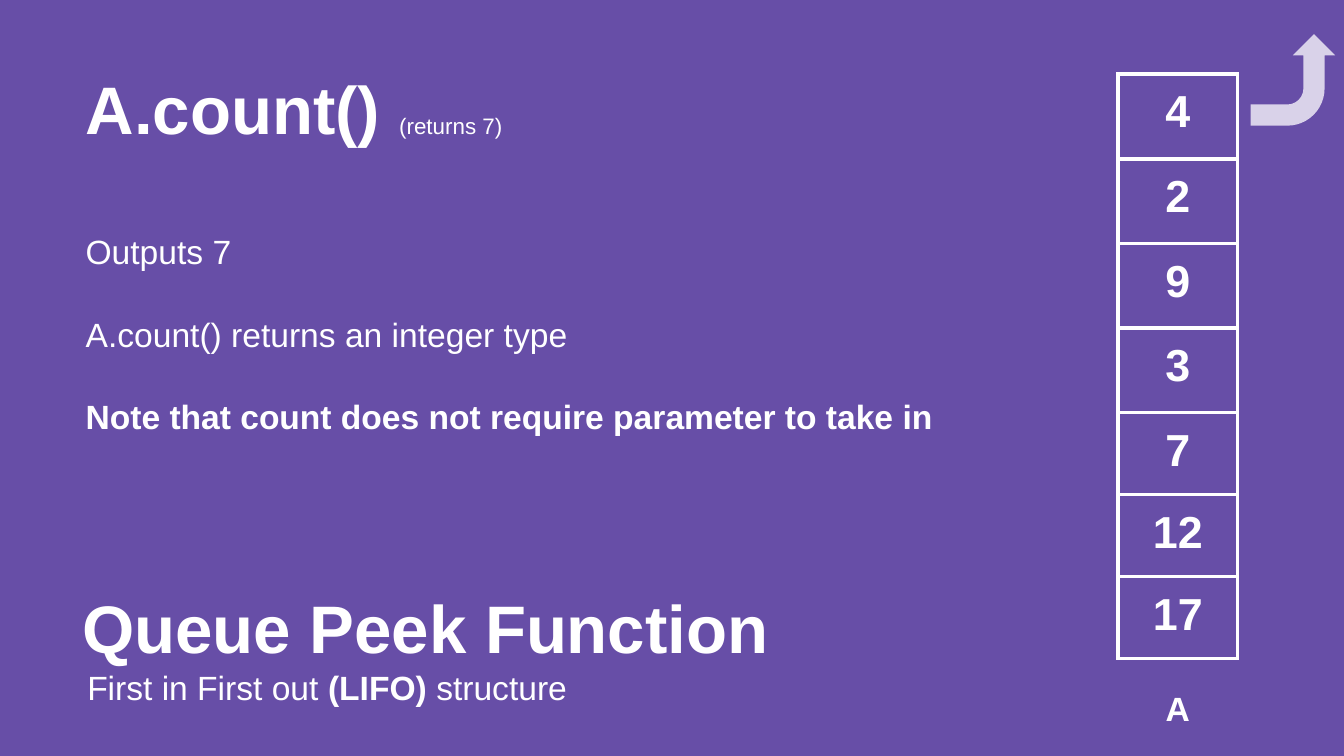
from dataclasses import dataclass

from lxml.etree import SubElement
from pptx import Presentation
from pptx.dml.color import RGBColor
from pptx.enum.shapes import MSO_SHAPE as Shape
from pptx.enum.text import MSO_ANCHOR as Anchor, MSO_AUTO_SIZE as AutoSize, PP_ALIGN as Align
from pptx.oxml.ns import qn
from pptx.util import Cm, Pt


@dataclass(frozen=True)
class Theme:
    """Colours, font and type sizes of the slide."""
    background: RGBColor = RGBColor(0x67, 0x4E, 0xA7)
    text: RGBColor = RGBColor(0xFF, 0xFF, 0xFF)
    arrow: RGBColor = RGBColor(0xD9, 0xD2, 0xE9)
    font: str = "Arial"
    heading: int = 36
    number: int = 24
    body: int = 18
    note: int = 12
    line_spacing: float = 1.08
    border: float = 2.25


THEME = Theme()
MARGIN = Cm(0.25)
QUEUE = (4, 2, 9, 3, 7, 12, 17)


def add_run(p, text, size, bold=False):
    """Append a run in the theme font and colour."""
    r = p.add_run()
    r.text = text
    r.font.name = THEME.font
    r.font.size = Pt(size)
    r.font.bold = bold
    r.font.color.rgb = THEME.text


def fill_text(sp, paragraphs, align=Align.LEFT):
    """Write (space before, runs) paragraphs into a shape."""
    tf = sp.text_frame
    tf.word_wrap = True
    tf.auto_size = AutoSize.NONE
    tf.vertical_anchor = Anchor.TOP
    tf.margin_left = tf.margin_right = tf.margin_top = tf.margin_bottom = MARGIN
    for i, (gap, runs) in enumerate(paragraphs):
        p = tf.add_paragraph() if i else tf.paragraphs[0]
        p.alignment = align
        p.line_spacing = THEME.line_spacing
        p.space_before = Pt(gap)
        for run in runs:
            add_run(p, *run)


def add_text(slide, box, paragraphs, align=Align.LEFT):
    """Add a text box."""
    fill_text(slide.shapes.add_textbox(*box), paragraphs, align)


def set_title(slide, box, text):
    """Move the title placeholder and write the title."""
    sp = slide.shapes.title
    sp.left, sp.top, sp.width, sp.height = box
    fill_text(sp, [(0, [(text, THEME.heading, True)])])


def set_borders(cell):
    """Draw the four borders of a cell."""
    props = cell._tc.get_or_add_tcPr()
    for i, side in enumerate(("lnL", "lnR", "lnT", "lnB")):
        ln = props.makeelement(qn(f"a:{side}"), {"w": str(Pt(THEME.border))})
        fill = SubElement(ln, qn("a:solidFill"))
        SubElement(fill, qn("a:srgbClr"), val=str(THEME.text))
        props.insert(i, ln)


def add_queue(slide, left, top, width, heights, values):
    """Add the queue as a table of one column."""
    frame = slide.shapes.add_table(len(values), 1, left, top, width, sum(heights))
    table = frame.table
    table.first_row = table.horz_banding = False
    table.columns[0].width = width
    for row, height, value in zip(table.rows, heights, values):
        row.height = height
        cell = row.cells[0]
        cell.fill.background()
        cell.vertical_anchor = Anchor.TOP
        cell.margin_left = cell.margin_right = MARGIN
        cell.margin_top = cell.margin_bottom = MARGIN
        p = cell.text_frame.paragraphs[0]
        p.alignment = Align.CENTER
        add_run(p, str(value), THEME.number, True)
        set_borders(cell)


def add_exit_arrow(slide, box):
    """Add the bent arrow that leaves the queue upwards."""
    sp = slide.shapes.add_shape(Shape.BENT_ARROW, *box)
    for i, value in enumerate((0.25, 0.25, 0.25, 0.44)):
        sp.adjustments[i] = value
    sp.rotation = 90
    sp._element.spPr.xfrm.set("flipH", "1")
    sp.fill.solid()
    sp.fill.fore_color.rgb = THEME.arrow
    sp.line.fill.background()
    sp.shadow.inherit = False


def main():
    """Build the slide and save it."""
    prs = Presentation()
    prs.slide_width, prs.slide_height = Cm(25.4), Cm(14.29)
    slide = prs.slides.add_slide(prs.slide_layouts[5])
    slide.background.fill.solid()
    slide.background.fill.fore_color.rgb = THEME.background

    add_text(slide, (Cm(1.37), Cm(0.91), Cm(18.31), Cm(11.2)), [
        (0, [("A.count() ", THEME.heading, True), ("(returns 7)", THEME.note)]),
        (42.5, [("Outputs 7", THEME.body)]),
        (21, [("A.count() returns an integer type", THEME.body)]),
        (21, [("Note that count does not require parameter to take in", THEME.body, True)]),
    ])
    set_title(slide, (Cm(1.3), Cm(10.72), Cm(18.8), Cm(2.06)), "Queue Peek Function")
    add_text(slide, (Cm(1.4), Cm(12.29), Cm(16.13), Cm(1.8)), [
        (0, [("First in First out ", THEME.body), ("(LIFO) ", THEME.body, True),
             ("structure", THEME.body)]),
    ])
    add_text(slide, (Cm(20.52), Cm(12.7), Cm(3.48), Cm(1.19)),
             [(0, [("A", THEME.body, True)])], Align.CENTER)
    heights = [Cm(1.6)] * 4 + [Cm(1.55)] * 3
    add_queue(slide, Cm(21.13), Cm(1.4), Cm(2.26), heights, QUEUE)
    add_exit_arrow(slide, (Cm(23.57), Cm(0.71), Cm(1.73), Cm(1.6)))
    prs.save("out.pptx")


if __name__ == "__main__":
    main()
